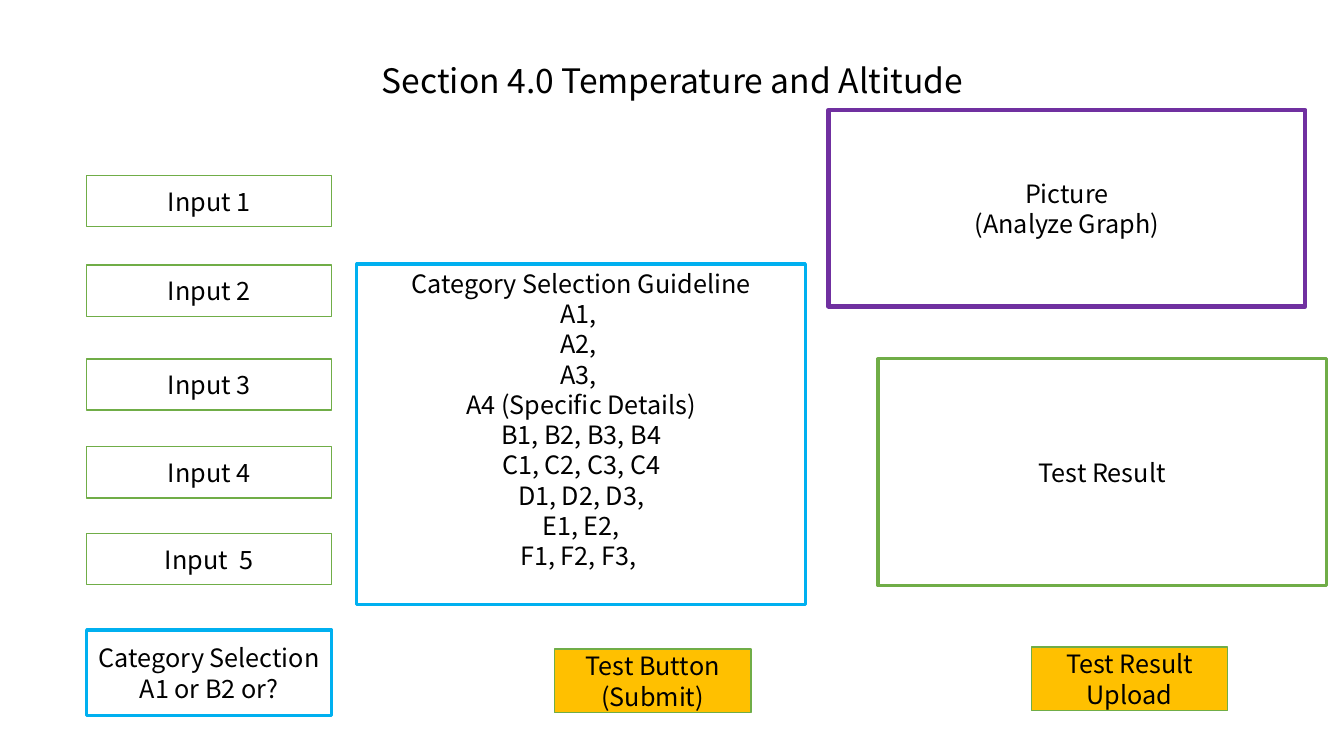
"""Build the Temperature and Altitude input form slide."""
from dataclasses import dataclass

import pptx
import pptx.dml.color
import pptx.enum.shapes
import pptx.enum.text
import pptx.presentation
import pptx.shapes.base
import pptx.slide
import pptx.text.text
import pptx.util

Pt = pptx.util.Pt
RGBColor = pptx.dml.color.RGBColor
Anchor = pptx.enum.text.MSO_ANCHOR


@dataclass(frozen=True)
class Theme:
    """Colours, font and type sizes of the slide."""

    font: str = "Noto Sans CJK SC"
    title_size: float = 24
    body_size: float = 18
    text: str = "000000"
    white: str = "FFFFFF"
    green: str = "70AD47"
    blue: str = "00B0F0"
    purple: str = "7030A0"
    amber: str = "FFC000"


THEME = Theme()


@dataclass(frozen=True)
class Box:
    """An outlined rectangle with centred lines of text, in points."""

    left: float
    top: float
    width: float
    height: float
    lines: tuple[str, ...]
    line_color: str = THEME.green
    line_width: float = 1
    fill: str = THEME.white
    anchor: Anchor = Anchor.MIDDLE
    top_inset: float = 3.6


INPUT_TOPS = {"Input 1": 125.3, "Input 2": 189.4, "Input 3": 256.3,
              "Input 4": 319, "Input  5": 380.9}
LEFT_COLUMN = 61.9
LEFT_WIDTH = 175
PANEL_WIDTH = 320.4
BUTTON_SIZE = (140.4, 45.4)

GUIDELINE = ("Category Selection Guideline", "A1, ", "A2, ", "A3, ",
             "A4 (Specific Details)", "B1, B2, B3, B4", "C1, C2, C3, C4",
             "D1, D2, D3,", "E1, E2,", "F1, F2, F3, ")

BOXES = (
    Box(591.8, 78.5, 340.6, 140.4, ("Picture", "(Analyze Graph)"), THEME.purple, 3),
    *(Box(LEFT_COLUMN, top, LEFT_WIDTH, 36.7, (label,))
      for label, top in INPUT_TOPS.items()),
    Box(LEFT_COLUMN, 450, LEFT_WIDTH, 61.2,
        ("Category Selection", "A1 or B2 or?"), THEME.blue, 2.25),
    Box(396, 463.7, *BUTTON_SIZE, ("Test Button (Submit)",), fill=THEME.amber),
    Box(627.1, 256.3, PANEL_WIDTH, 162, ("Test Result",), line_width=2.25),
    Box(736.6, 462.2, *BUTTON_SIZE, ("Test Result Upload",), fill=THEME.amber),
    Box(254.9, 188.6, PANEL_WIDTH, 243.4, GUIDELINE, THEME.blue, 2.25,
        anchor=Anchor.TOP, top_inset=3),
)


def add_run(paragraph: pptx.text.text._Paragraph, text: str, size: float) -> None:
    """Add a centred run in the theme font."""
    paragraph.alignment = pptx.enum.text.PP_ALIGN.CENTER
    run = paragraph.add_run()
    run.text = text
    run.font.name = THEME.font
    run.font.size = Pt(size)
    run.font.color.rgb = RGBColor.from_string(THEME.text)


def add_title(slide: pptx.slide.Slide, text: str) -> None:
    """Add the slide heading."""
    shape = slide.shapes.add_textbox(Pt(204.5), Pt(42.5), Pt(551.5), Pt(36.7))
    shape.text_frame.word_wrap = True
    paragraph = shape.text_frame.paragraphs[0]
    paragraph.line_spacing = 0.9
    paragraph.space_before = Pt(10)
    add_run(paragraph, text, THEME.title_size)


def add_box(slide: pptx.slide.Slide, box: Box) -> None:
    """Draw one box with its text."""
    shape = slide.shapes.add_shape(
        pptx.enum.shapes.MSO_SHAPE.RECTANGLE,
        Pt(box.left), Pt(box.top), Pt(box.width), Pt(box.height))
    shape.shadow.inherit = False
    shape.fill.solid()
    shape.fill.fore_color.rgb = RGBColor.from_string(box.fill)
    shape.line.color.rgb = RGBColor.from_string(box.line_color)
    shape.line.width = Pt(box.line_width)
    frame = shape.text_frame
    frame.word_wrap = True
    frame.vertical_anchor = box.anchor
    frame.margin_top = Pt(box.top_inset)
    for index, line in enumerate(box.lines):
        paragraph = frame.add_paragraph() if index else frame.paragraphs[0]
        add_run(paragraph, line, THEME.body_size)


def main() -> None:
    """Build and save the presentation."""
    presentation = pptx.Presentation()
    presentation.slide_width = Pt(960)
    presentation.slide_height = Pt(540)
    slide = presentation.slides.add_slide(presentation.slide_layouts[6])
    add_title(slide, "Section 4.0 Temperature and Altitude")
    for box in BOXES:
        add_box(slide, box)
    presentation.save("out.pptx")


main()
